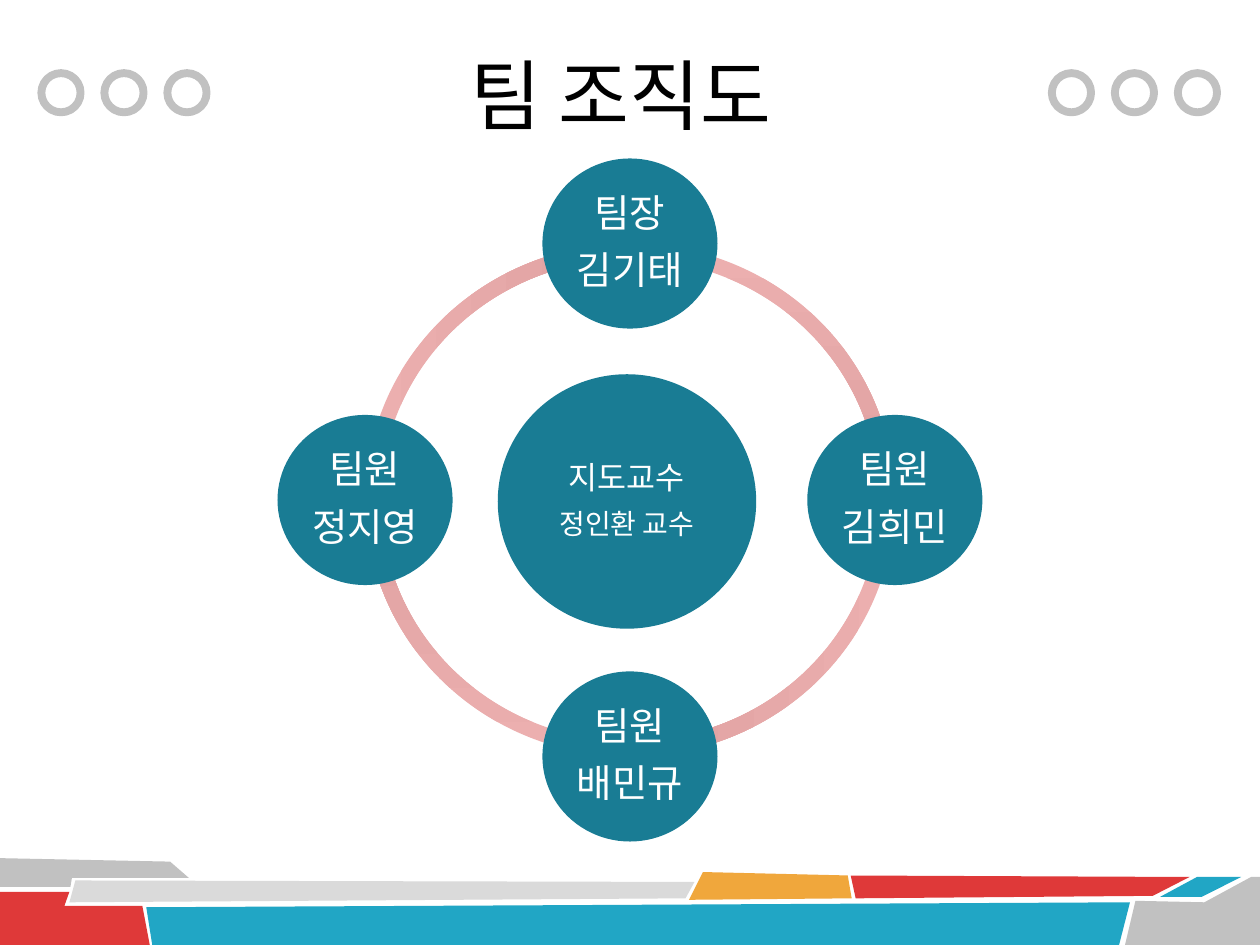
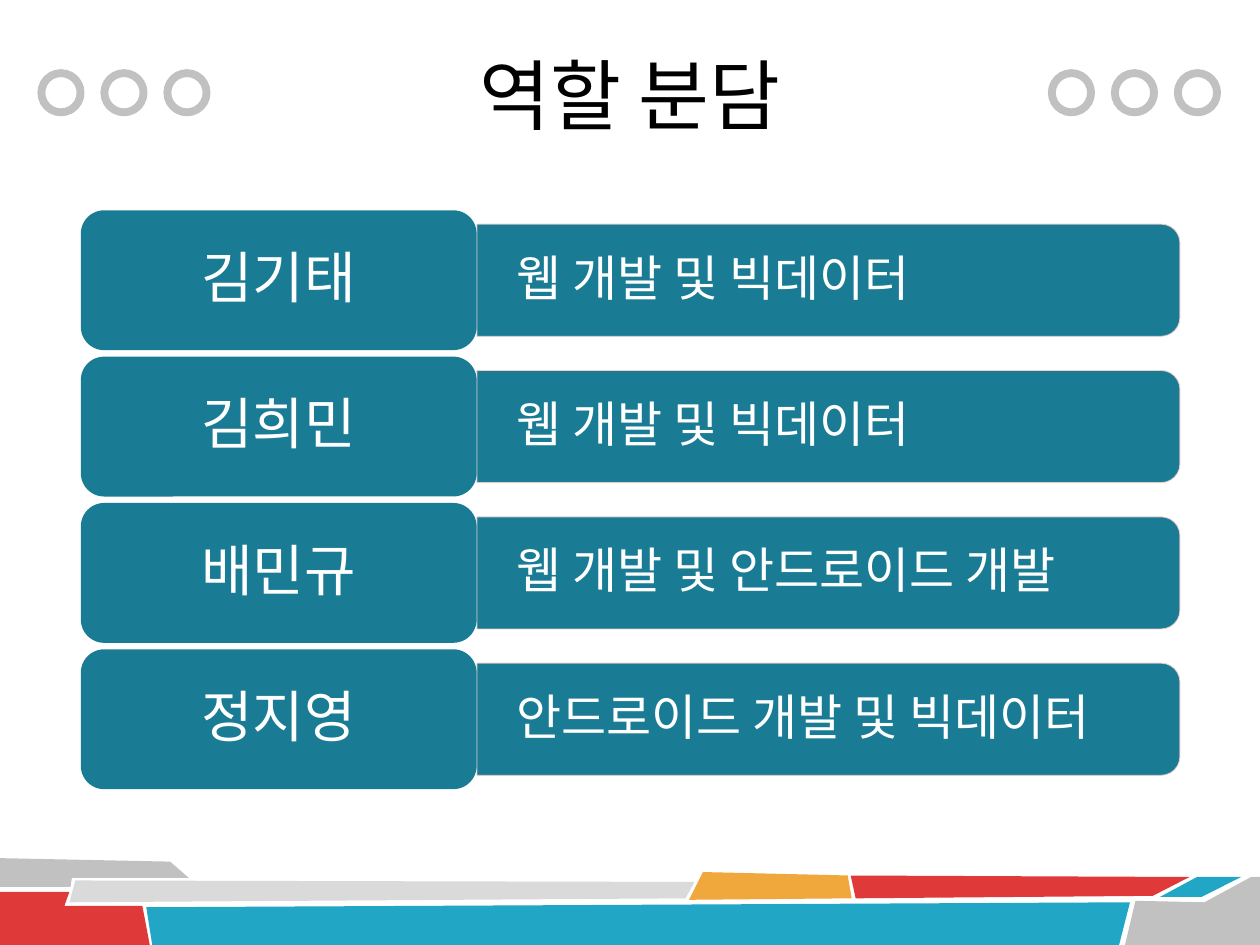
from lxml import etree
from pptx import Presentation
from pptx.dml.color import RGBColor
from pptx.enum.shapes import MSO_SHAPE
from pptx.enum.text import MSO_ANCHOR, PP_ALIGN
from pptx.oxml.ns import qn
from pptx.util import Cm, Pt

OVAL = MSO_SHAPE.OVAL
ARC = MSO_SHAPE.BLOCK_ARC
NAME_BOX = MSO_SHAPE.ROUNDED_RECTANGLE
TASK_BOX = MSO_SHAPE.ROUND_2_SAME_RECTANGLE
MIDDLE = MSO_ANCHOR.MIDDLE
LEFT, CENTER = PP_ALIGN.LEFT, PP_ALIGN.CENTER

# Shared look
KOREAN, LATIN = "Noto Sans CJK KR", "Arial"
TEAL, WHITE, BLACK = "197C94", "FFFFFF", "000000"
GREY, PALE, RED, BLUE, ORANGE = "C1C1C1", "DADADA", "DF3939", "21A6C5", "F0A73C"
PINK, ROSE, TASK_EDGE = "ECAFAF", "CF9191", "F3CECE"
WIDTH, HEIGHT = 25.4, 19.05

# Footer mosaic: colour and corner points in cm
FOOTER = [
    (GREY, [(0, 17.3), (3.43, 17.37), (3.81, 17.7), (1.45, 17.7), (1.42, 17.88), (0, 17.88)]),
    (RED, [(0, 17.98), (1.4, 17.98), (1.3, 18.26), (2.87, 18.26), (3.02, HEIGHT), (0, HEIGHT)]),
    (PALE, [(1.52, 17.75), (14, 17.78), (13.82, 18.11), (1.4, 18.19)]),
    (BLUE, [(2.95, 18.29), (22.78, 18.19), (22.56, HEIGHT), (3.07, HEIGHT)]),
    (ORANGE, [(14.17, 17.58), (17.09, 17.65), (17.17, 18.11), (13.89, 18.14)]),
    (RED, [(17.15, 17.65), (23.98, 17.68), (23.24, 18.06), (17.25, 18.11)]),
    (BLUE, [(24.13, 17.68), (25.02, 17.68), (24.23, 18.08), (23.39, 18.08)]),
    (GREY, [(22.89, 18.16), (24.28, 18.19), (25.22, 17.68), (WIDTH, 17.68),
            (WIDTH, HEIGHT), (22.68, HEIGHT)]),
]

# Each member with the direction from the centre of the ring
MEMBERS = [("팀장", "김기태", 0, -1), ("팀원", "김희민", 1, 0),
           ("팀원", "배민규", 0, 1), ("팀원", "정지영", -1, 0)]
ROLES = [("김기태", "웹 개발 및 빅데이터"), ("김희민", "웹 개발 및 빅데이터"),
         ("배민규", "웹 개발 및 안드로이드 개발"), ("정지영", "안드로이드 개발 및 빅데이터")]


def rgb(color):
    return RGBColor.from_string(color)


def paint(shape, color):
    shape.shadow.inherit = False
    shape.line.fill.background()
    if color:
        shape.fill.solid()
        shape.fill.fore_color.rgb = rgb(color)
    else:
        shape.fill.background()


def add_centered(slide, kind, x, y, width, height, color=TEAL):
    """Add a borderless shape around the centre point x, y."""
    shape = slide.shapes.add_shape(
        kind, Cm(x - width / 2), Cm(y - height / 2), Cm(width), Cm(height))
    paint(shape, color)
    return shape


def write(shape, lines, sizes, font=KOREAN, color=WHITE, align=CENTER, spacing=0.9, after=0):
    frame = shape.text_frame
    frame.word_wrap = True
    frame.vertical_anchor = MIDDLE
    frame.text = "\n".join(lines)
    for paragraph, size in zip(frame.paragraphs, sizes):
        paragraph.alignment = align
        paragraph.line_spacing = spacing
        paragraph.space_after = Pt(after)
        for run in paragraph.runs:
            run.font.size = Pt(size)
            run.font.name = font
            run.font.color.rgb = rgb(color)
            east_asian = etree.SubElement(run.font._element, qn("a:ea"))
            east_asian.set("typeface", KOREAN)


def add_footer(slide):
    for color, points in FOOTER:
        corners = [(Cm(x), Cm(y)) for x, y in points]
        outline = slide.shapes.build_freeform(*corners[0])
        outline.add_line_segments(corners[1:], close=True)
        paint(outline.convert_to_shape(), color)


def add_title_rings(slide):
    for first in (1.23, 21.6):
        for i in range(3):
            ring = add_centered(slide, OVAL, first + 1.27 * i, 1.87, 0.79, 0.79, None)
            ring.line.color.rgb = rgb(GREY)
            ring.line.width = Pt(4.5)


def add_page(deck, title):
    """Start a slide with the shared footer, rings and title."""
    slide = deck.slides.add_slide(deck.slide_layouts[6])
    add_footer(slide)
    add_title_rings(slide)
    heading = slide.shapes.add_textbox(Cm(4.45), Cm(0.3), Cm(16.5), Cm(3.18))
    write(heading, [title], [44], color=BLACK, spacing=1.0)
    return slide


def add_ring_quarter(slide, x, y, turn):
    size = (10.67, 10.34) if turn % 180 == 0 else (10.34, 10.67)
    quarter = add_centered(slide, ARC, x, y, *size)
    quarter.rotation = turn
    for i, value in enumerate((162, 216, 0.03)):
        quarter.adjustments[i] = value
    quarter.fill.gradient()
    quarter.fill.gradient_angle = 270
    for stop, color in zip(quarter.fill.gradient_stops, (PINK, ROSE)):
        stop.color.rgb = rgb(color)


def add_member(slide, x, y, role, name):
    member = add_centered(slide, OVAL, x, y, 3.53, 3.43)
    frame = member.text_frame
    frame.margin_left = frame.margin_right = Cm(0.08)
    frame.margin_top = frame.margin_bottom = Cm(0.08)
    write(member, [role, name], [22, 22], after=9)


def add_task(slide, y, task):
    """Add a bar rounded at its right end, with upright text."""
    bar = add_centered(slide, TASK_BOX, 16.7, y, 2.26, 14.17)
    bar.rotation = 90
    bar.line.color.rgb = rgb(TASK_EDGE)
    bar.line.width = Pt(0.5)
    edge = bar.line.fill._xPr.find(qn("a:solidFill"))[0]
    etree.SubElement(edge, qn("a:alpha")).set("val", "90000")
    write(bar, [task], [28], font=LATIN, align=LEFT, after=13)
    bar.text_frame._txBody.bodyPr.set("vert", "vert270")
    bar.text_frame.paragraphs[0]._p.get_or_add_pPr().set("marL", str(Cm(0.55)))


def add_team_chart(slide):
    x, y = 12.7, 10.08
    for turn in range(0, 360, 90):
        add_ring_quarter(slide, x, y, turn)
    advisor = add_centered(slide, OVAL, 12.64, 10.11, 5.21, 5.13)
    write(advisor, ["지도교수", "정인환 교수"], [18, 16], after=8)
    for role, name, across, down in MEMBERS:
        add_member(slide, x + 5.34 * across, y + 5.17 * down, role, name)


def add_role_rows(slide):
    for i, (name, task) in enumerate(ROLES):
        y = 5.65 + 2.95 * i
        add_task(slide, y, task)
        label = add_centered(slide, NAME_BOX, 5.62, y, 7.98, 2.82)
        write(label, [name], [32], font=LATIN, after=13)


def main():
    deck = Presentation()
    deck.slide_width, deck.slide_height = Cm(WIDTH), Cm(HEIGHT)
    add_team_chart(add_page(deck, "팀 조직도 "))
    add_role_rows(add_page(deck, "역할 분담"))
    deck.save("out.pptx")


if __name__ == "__main__":
    main()
